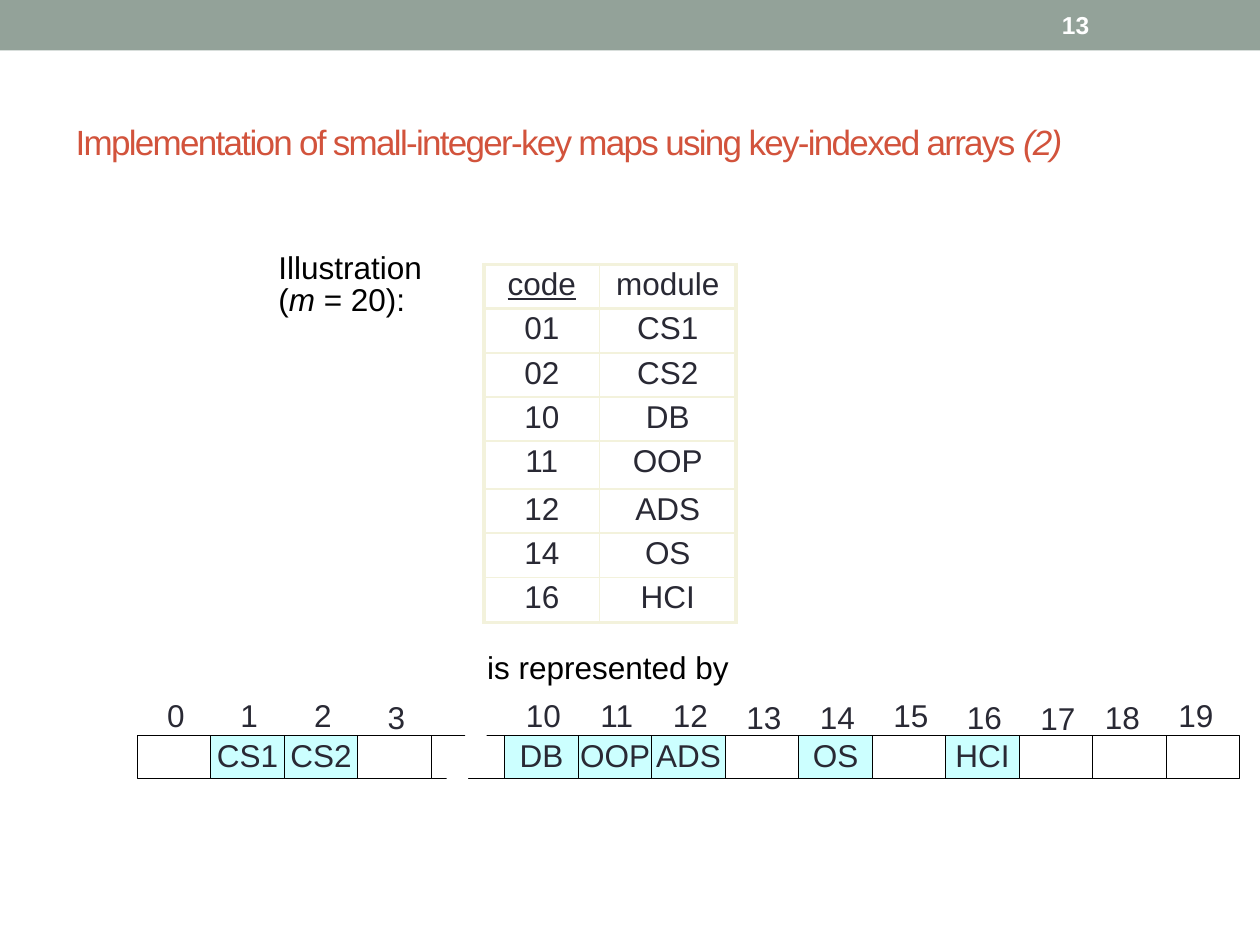
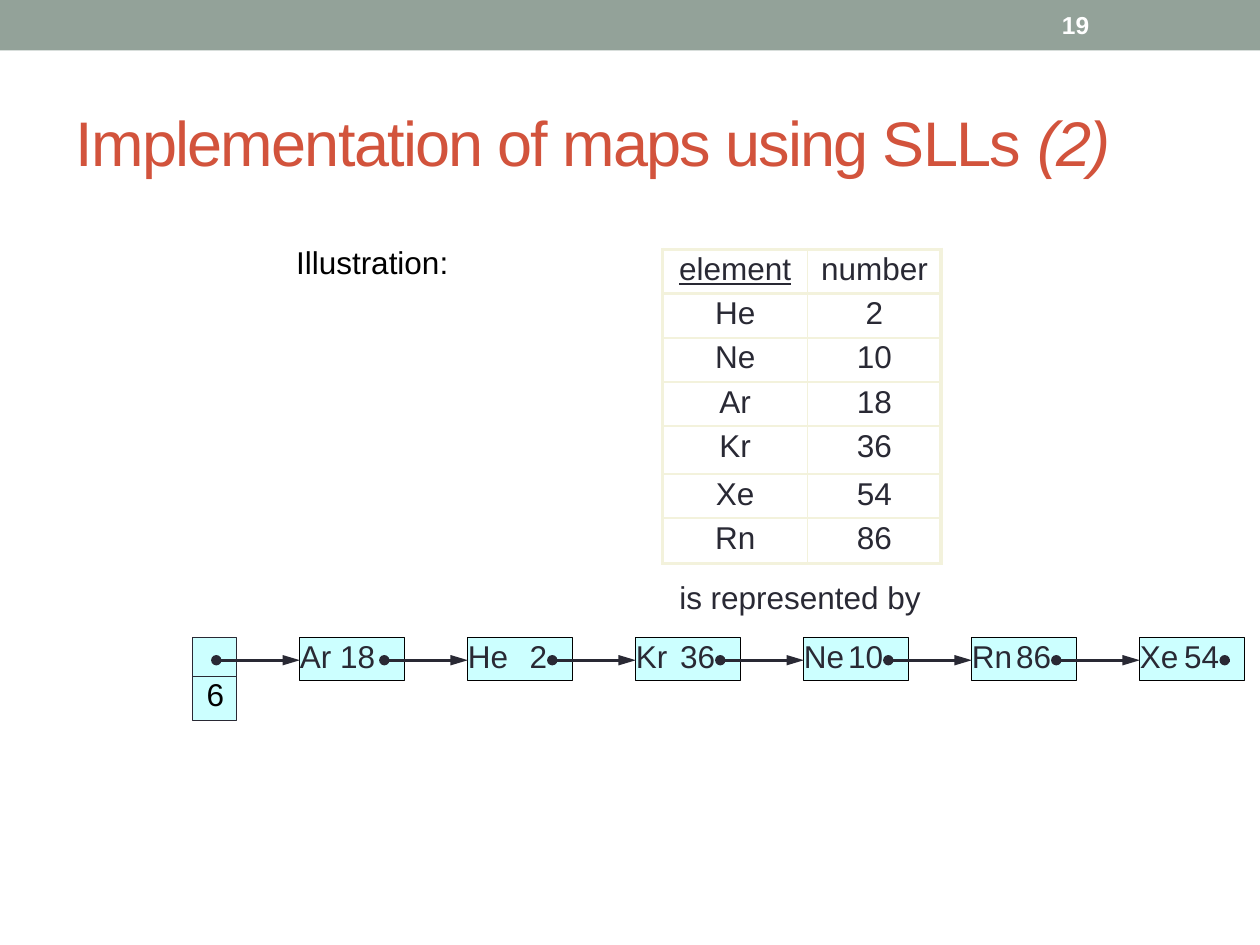
from lxml import etree
from pptx import Presentation
from pptx.dml.color import RGBColor
from pptx.enum import shapes, text
from pptx.oxml import ns
from pptx.util import Inches, Pt

COLOURS = {
    "band": "93A299", "title": "D2533C", "ink": "292934", "black": "000000",
    "white": "FFFFFF", "cell": "CCFFFF", "grid": "F3F2DC",
}
FONT = "Arial"
ALIGN = text.PP_ALIGN
ANCHOR = text.MSO_ANCHOR


def colour(name):
    return RGBColor.from_string(COLOURS[name])


def add_xml(parent, tag, **attributes):
    """Append one DrawingML element."""
    element = etree.SubElement(parent, ns.qn(tag))
    for key, value in attributes.items():
        element.set(key, str(value))
    return element


def write(frame, content, size=18, ink="ink", align=ALIGN.CENTER, exact=True,
          bold=False, underline=False, spacing=None, tab=None):
    """Write one paragraph; content is a string or a list of (text, italic)."""
    pieces = [(content, False)] if isinstance(content, str) else content
    paragraph = frame.paragraphs[0]
    paragraph.alignment = align
    if exact:
        paragraph.line_spacing = Pt(18)
    if tab:
        stops = add_xml(paragraph._p.get_or_add_pPr(), "a:tabLst")
        add_xml(stops, "a:tab", pos=Inches(tab), algn="r")
    for words, italic in pieces:
        run = paragraph.add_run()
        run.text = words
        font = run.font
        font.name, font.size, font.bold = FONT, Pt(size), bold
        font.italic, font.underline = italic, underline
        font.color.rgb = colour(ink)
        if spacing:
            run._r.get_or_add_rPr().set("spc", str(spacing))


class Deck:
    def __init__(self):
        self.presentation = Presentation()
        self.presentation.slide_width = Inches(10)
        self.presentation.slide_height = Inches(7.5)
        self.slide = None

    def start_slide(self, title, title_size, number):
        """Add a slide with the band, title and slide number."""
        layout = self.presentation.slide_layouts.get_by_name("Title Only")
        self.slide = self.presentation.slides.add_slide(layout)
        self.box(0, 0, 10, 0.4, fill="band", line=None)
        placeholder = self.slide.shapes.title
        placeholder.left, placeholder.top = Inches(0.5), Inches(0.58)
        placeholder.width, placeholder.height = Inches(9), Inches(1.08)
        frame = placeholder.text_frame
        frame.auto_size = text.MSO_AUTO_SIZE.NONE
        frame.vertical_anchor = ANCHOR.MIDDLE
        write(frame, [(title + " ", False), ("(2)", True)], size=title_size,
              ink="title", align=ALIGN.LEFT, exact=False, spacing=-100)
        self.label(number, 8.33, 0.02, 1.17, 0.36, inset=(0.1, 0.05),
                   anchor=ANCHOR.MIDDLE, size=14, ink="white",
                   align=ALIGN.LEFT, exact=False, bold=True)

    def prepare(self, frame, inset=(0, 0), anchor=ANCHOR.TOP):
        frame.word_wrap = True
        frame.vertical_anchor = anchor
        frame.margin_left = frame.margin_right = Inches(inset[0])
        frame.margin_top = frame.margin_bottom = Inches(inset[1])

    def label(self, content, left, top, width, height=0.25, inset=(0, 0),
              anchor=ANCHOR.TOP, **style):
        shape = self.slide.shapes.add_textbox(
            Inches(left), Inches(top), Inches(width), Inches(height))
        self.prepare(shape.text_frame, inset, anchor)
        write(shape.text_frame, content, **style)

    def paint(self, shape, fill, line):
        shape.shadow.inherit = False
        shape.fill.solid()
        shape.fill.fore_color.rgb = colour(fill)
        if line:
            shape.line.color.rgb = colour(line)
            shape.line.width = Pt(0.75)
        else:
            shape.line.fill.background()

    def box(self, left, top, width, height, content=None, fill="cell",
            line="black", **style):
        shape = self.slide.shapes.add_shape(
            shapes.MSO_SHAPE.RECTANGLE,
            Inches(left), Inches(top), Inches(width), Inches(height))
        self.paint(shape, fill, line)
        if content:
            self.prepare(shape.text_frame)
            write(shape.text_frame, content, exact=False, **style)

    def outline(self, points, fill):
        corners = [(Inches(x), Inches(y)) for x, y in points]
        builder = self.slide.shapes.build_freeform(*corners[0])
        builder.add_line_segments(corners[1:], close=True)
        self.paint(builder.convert_to_shape(), fill, None)

    def link(self, start, end, y, arrow=True):
        """Draw a pointer: a dot at its start and an arrowhead at its end."""
        connector = self.slide.shapes.add_connector(
            shapes.MSO_CONNECTOR.STRAIGHT,
            Inches(start), Inches(y), Inches(end), Inches(y))
        connector.line.color.rgb = colour("ink")
        connector.line.width = Pt(1.5)
        line = connector.line._get_or_add_ln()
        add_xml(line, "a:headEnd", type="oval")
        if arrow:
            add_xml(line, "a:tailEnd", type="triangle", w="med", len="lg")
        add_xml(connector._element.spPr, "a:effectLst")

    def table(self, rows, left, top, widths, heights):
        """Add a table with a heavy frame and a heavy rule below its header."""
        grid = self.slide.shapes.add_table(
            len(rows), len(widths), Inches(left), Inches(top),
            Inches(sum(widths)), Inches(sum(heights))).table
        for column, width in zip(grid.columns, widths):
            column.width = Inches(width)
        last_row, last_column = len(rows) - 1, len(widths) - 1
        for r, (row, height) in enumerate(zip(rows, heights)):
            grid.rows[r].height = Inches(height)
            for c, words in enumerate(row):
                cell = grid.cell(r, c)
                write(cell.text_frame, words, underline=(r == 0 and c == 0))
                heavy = {"a:lnL": c == 0, "a:lnR": c == last_column,
                         "a:lnT": r <= 1, "a:lnB": r in (0, last_row)}
                for tag, is_heavy in heavy.items():
                    border = add_xml(cell._tc.get_or_add_tcPr(), tag,
                                     w=Pt(2.25 if is_heavy else 1))
                    fill = add_xml(border, "a:solidFill")
                    add_xml(fill, "a:srgbClr", val=COLOURS["grid"])
                cell.fill.solid()
                cell.fill.fore_color.rgb = colour("white")


def build_array_slide(deck):
    deck.start_slide("Implementation of small-integer-key maps using "
                     "key-indexed arrays", 20, "13")
    deck.label([("Illustration (", False), ("m", True), (" = 20):", False)],
               2.21, 2.02, 1.33, 0.5, ink="black", align=ALIGN.LEFT)
    modules = {1: "CS1", 2: "CS2", 10: "DB", 11: "OOP", 12: "ADS",
               14: "OS", 16: "HCI"}
    rows = [("code", "module")]
    rows += [(f"{code:02}", module) for code, module in modules.items()]
    deck.table(rows, 3.84, 2.1, [0.92, 1.08],
               [0.35] * 4 + [0.38, 0.35, 0.35, 0.36])
    deck.label("is represented by", 3.82, 5.19, 2.01, ink="black")

    # Array cells; None stands for the cells left out
    indexes = [0, 1, 2, 3, None, *range(10, 20)]
    left, top, height = 1.09, 5.84, 0.34
    pitch = 8.75 / len(indexes)
    label_tops = {3: 5.59, 13: 5.59, 14: 5.59, 16: 5.59, 17: 5.6, 18: 5.59}
    for slot, index in enumerate(indexes):
        x = left + slot * pitch
        module = modules.get(index)
        deck.box(x, top, pitch, height, module,
                 fill="cell" if module else "white")
        if index is not None:
            deck.label(str(index), x, label_tops.get(index, 5.57),
                       0.47 if index >= 18 else 0.61)

    # Slanted break in the array
    deck.outline([(3.76, 5.68), (3.51, 6.26), (3.68, 6.26), (3.93, 5.68)],
                 "white")


def build_list_slide(deck):
    deck.start_slide("Implementation of maps using SLLs", 36, "19")
    rows = [("element", "number"), ("He", "2"), ("Ne", "10"), ("Ar", "18"),
            ("Kr", "36"), ("Xe", "54"), ("Rn", "86")]
    deck.table(rows, 5.26, 1.98, [1.15, 1.06],
               [0.35] * 4 + [0.38, 0.35, 0.36])
    deck.label("Illustration:", 2.35, 1.98, 1.5, ink="black", align=ALIGN.LEFT)
    deck.label("is represented by", 5.35, 4.64, 2)

    # List header: first-node pointer above the size
    deck.box(1.53, 5.06, 0.35, 0.31, line="ink")
    deck.box(1.53, 5.37, 0.35, 0.35, line="ink")
    deck.label("6", 1.57, 5.41, 0.28, ink="black")

    # Nodes, sorted by element
    first, pitch, dot, link_y = 2.38, 4 / 3, 0.67, 5.24
    nodes = ["Ar 18", "He\t2", "Kr\t36", "Ne\t10", "Rn\t86", "Xe\t54"]
    for position, node in enumerate(nodes):
        deck.box(first + position * pitch, 5.06, 0.83, 0.34, node,
                 align=ALIGN.LEFT, tab=0.63)

    # Pointers into each node, then the null pointer
    for position in range(len(nodes)):
        x = first + position * pitch
        deck.link(x - pitch + dot, x, link_y)
    deck.link(9.72, 9.76, link_y, arrow=False)


def main():
    deck = Deck()
    build_array_slide(deck)
    build_list_slide(deck)
    deck.presentation.save("out.pptx")


if __name__ == "__main__":
    main()
